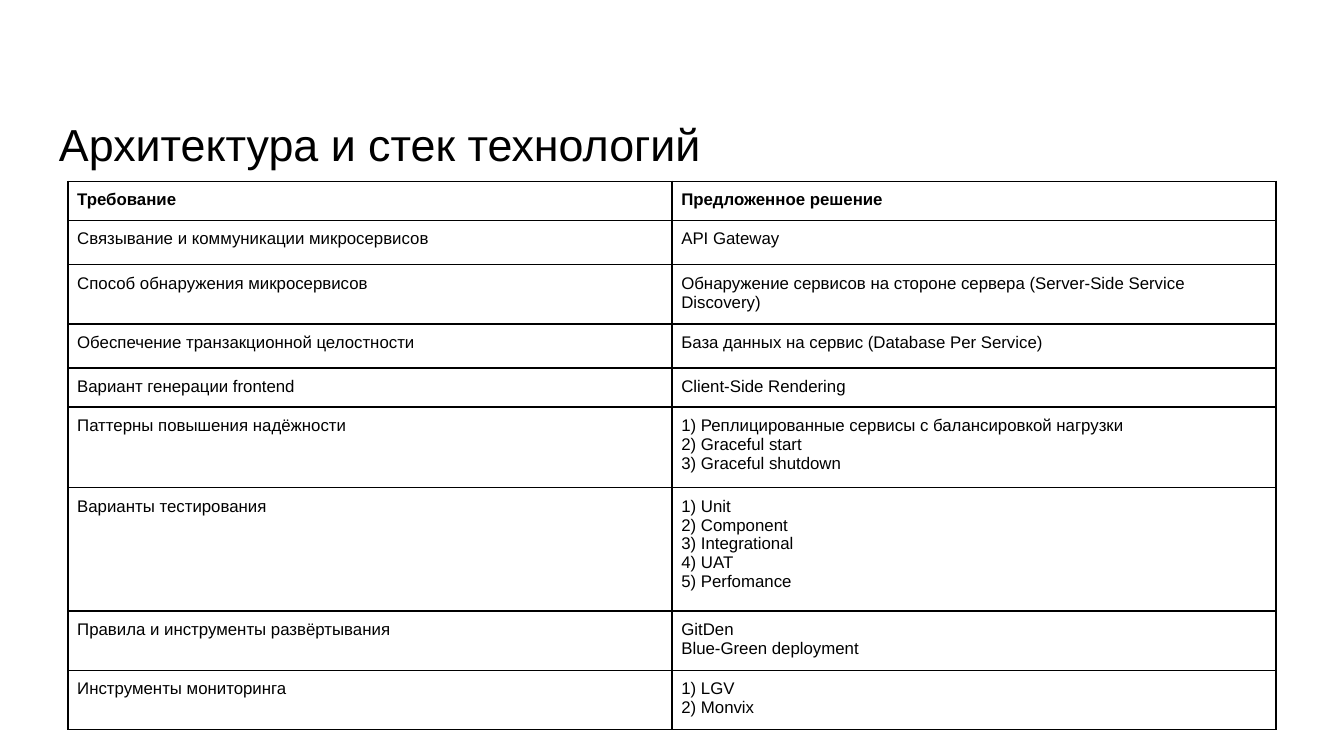
from lxml.etree import fromstring
from pptx import Presentation
from pptx.dml.color import RGBColor
from pptx.enum.text import MSO_ANCHOR
from pptx.util import Inches, Pt

TITLE = "Архитектура и стек технологий"
ROWS = [
    (0.28, "Требование", ["Предложенное решение"]),
    (0.33, "Связывание и коммуникации микросервисов", ["API Gateway"]),
    (0.44, "Способ обнаружения микросервисов",
     ["Обнаружение сервисов на стороне сервера (Server-Side Service Discovery)"]),
    (0.33, "Обеспечение транзакционной целостности",
     ["База данных на сервис (Database Per Service)"]),
    (0.28, "Вариант генерации frontend", ["Client-Side Rendering"]),
    (0.60, "Паттерны повышения надёжности",
     ["1) Реплицированные сервисы с балансировкой нагрузки",
      "2) Graceful start", "3) Graceful shutdown"]),
    (0.92, "Варианты тестирования",
     ["1) Unit", "2) Component", "3) Integrational", "4) UAT", "5) Perfomance"]),
    (0.44, "Правила и инструменты развёртывания",
     ["GitDen", "Blue-Green deployment"]),
    (0.44, "Инструменты мониторинга", ["1) LGV", "2) Monvix"]),
]
WIDTH = 10
HEIGHT = WIDTH * 9 / 16
TABLE_TOP, TABLE_W = 1.35, 8.99
INK = "000000"
NS = "http://schemas.openxmlformats.org/drawingml/2006/main"


def style(p, size, bold=False):
    p.font.name = "Arial"
    p.font.size = Pt(size)
    p.font.bold = bold
    p.font.color.rgb = RGBColor.from_string(INK)


def set_margins(box, margin):
    for side in ("left", "top", "right", "bottom"):
        setattr(box, f"margin_{side}", margin)


def add_borders(cell):
    tc_pr = cell._tc.get_or_add_tcPr()
    for i, side in enumerate("LRTB"):
        tc_pr.insert(i, fromstring(
            f'<a:ln{side} xmlns:a="{NS}" w="{Pt(1)}"><a:solidFill>'
            f'<a:srgbClr val="{INK}"/></a:solidFill></a:ln{side}>'))


def fill_cell(cell, lines, bold):
    cell.fill.background()
    cell.vertical_anchor = MSO_ANCHOR.TOP
    set_margins(cell, Pt(5))
    cell.text = "\n".join(lines)
    for p in cell.text_frame.paragraphs:
        style(p, 9, bold)
    add_borders(cell)


def main():
    """Build the architecture and technology stack slide."""
    prs = Presentation()
    prs.slide_width, prs.slide_height = Inches(WIDTH), Inches(HEIGHT)
    s = prs.slides.add_slide(prs.slide_layouts[6])

    box = s.shapes.add_textbox(Inches(0.34), Inches(0.77), Inches(9.32), Inches(0.79))
    tf = box.text_frame
    tf.word_wrap = True
    set_margins(tf, Inches(0.1))
    tf.text = TITLE
    style(tf.paragraphs[0], 24)

    total = sum(height for height, *_ in ROWS)
    left = (WIDTH - TABLE_W) / 2
    table = s.shapes.add_table(len(ROWS), 2, Inches(left), Inches(TABLE_TOP),
                               Inches(TABLE_W), Inches(total)).table
    table.first_row = table.horz_banding = False
    for i, (height, need, solution) in enumerate(ROWS):
        table.rows[i].height = Inches(height)
        for j, lines in enumerate(([need], solution)):
            fill_cell(table.cell(i, j), lines, bold=i == 0)

    prs.save("out.pptx")


if __name__ == "__main__":
    main()
